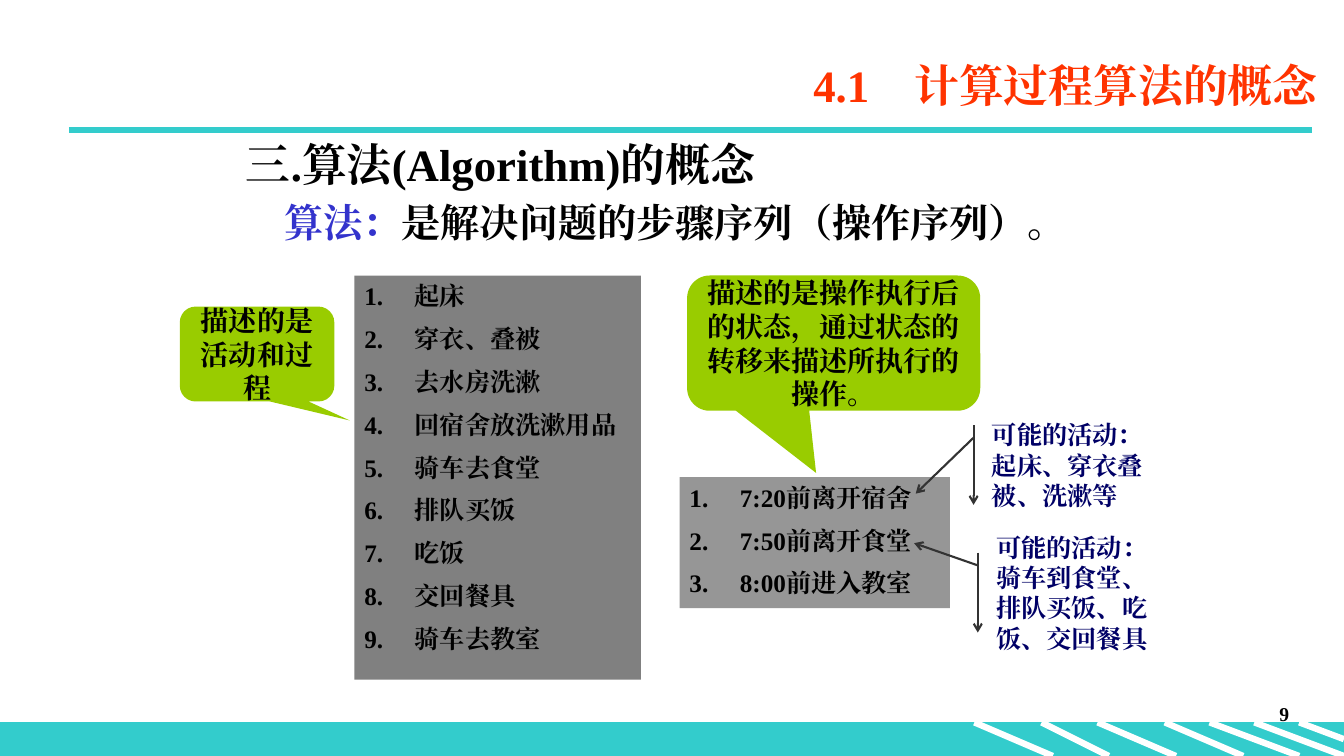
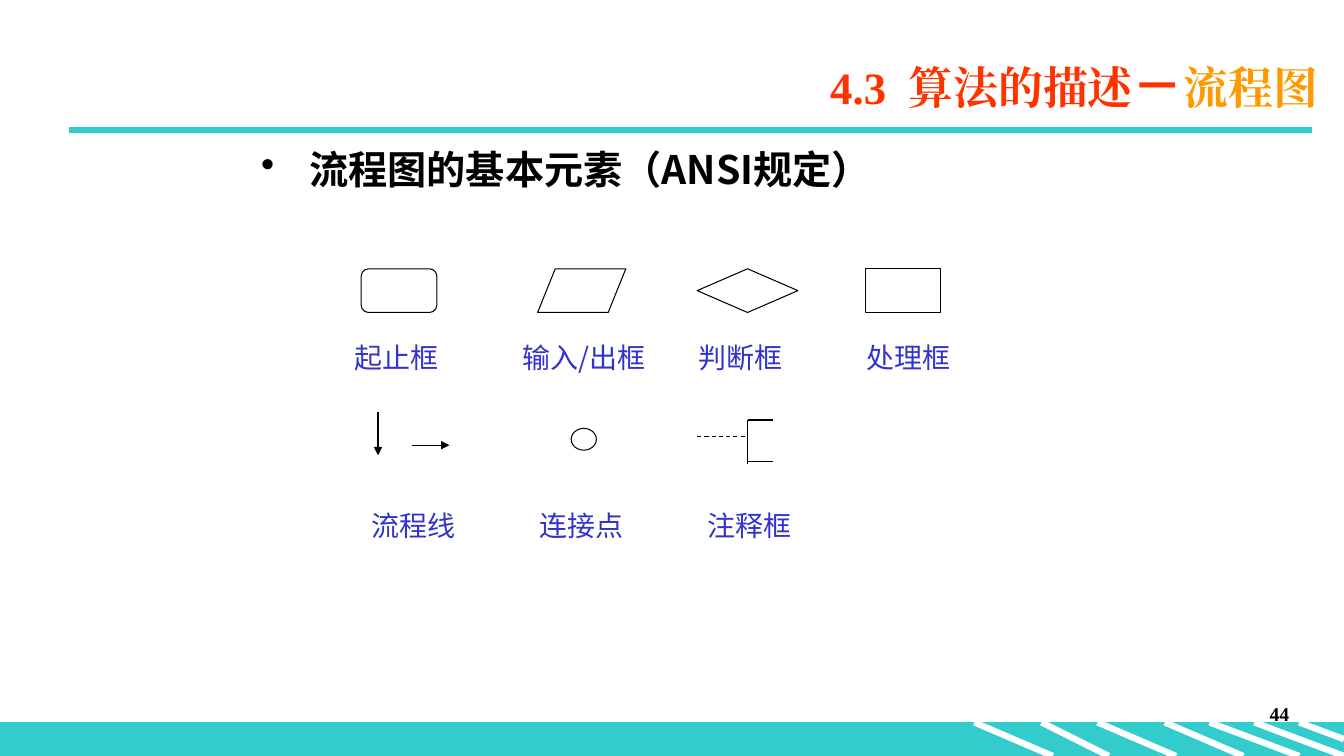
from dataclasses import dataclass
from typing import Optional, Sequence

from lxml import etree
from pptx import Presentation
from pptx import util as u
from pptx.dml.color import RGBColor
from pptx.enum import dml, shapes, text
from pptx.oxml import ns

# Grid: 160 columns by 90 rows, twelve cells to the inch
CELL = u.Inches(1) // 12
COLS, ROWS = 160, 90

# Colours and fonts
TEAL = RGBColor(0x33, 0xCC, 0xCC)
WHITE = RGBColor(0xFF, 0xFF, 0xFF)
BLACK = RGBColor(0, 0, 0)
RED = RGBColor(0xFF, 0x33, 0x00)
AMBER = RGBColor(0xFF, 0x99, 0x00)
BLUE = RGBColor(0x33, 0x33, 0xCC)
NAVY = RGBColor(0x00, 0x00, 0x66)
LIME = RGBColor(0x99, 0xCC, 0x00)
GREY = RGBColor(0x80, 0x80, 0x80)
SILVER = RGBColor(0x96, 0x96, 0x96)
DARK = RGBColor(0x33, 0x33, 0x33)
SERIF, SANS = "Times New Roman", "Noto Sans CJK SC"

KIND = shapes.MSO_SHAPE
LEFT, MID, RIGHT = text.PP_ALIGN.LEFT, text.PP_ALIGN.CENTER, text.PP_ALIGN.RIGHT


@dataclass(frozen=True)
class Run:
    words: str
    size: float
    color: RGBColor = BLACK
    bold: bool = True
    font: str = SERIF
    gap: float = 0  # extra letter spacing in points


@dataclass(frozen=True)
class Para:
    runs: Sequence[Run]
    align: text.PP_ALIGN = LEFT
    before: float = 0
    margin: float = 0  # left margin in inches
    hang: float = 0
    bullet: str = ""  # "1." numbers the paragraph


@dataclass(frozen=True)
class Box:
    col: float
    row: float
    wide: float
    high: float

    def place(self) -> list[int]:
        return [cells(n) for n in (self.col, self.row, self.wide, self.high)]


@dataclass(frozen=True)
class Line:
    col: float
    row: float
    endcol: float
    endrow: float
    arrow: bool = False
    dash: bool = False


@dataclass(frozen=True)
class Form:
    kind: shapes.MSO_SHAPE
    box: Box
    fill: Optional[RGBColor] = None
    line: Optional[RGBColor] = None
    width: float = 0.75
    adjust: Sequence[float] = ()
    arrow: str = ""
    paras: Sequence[Para] = ()
    middle: bool = True


# Shared slide parts
BAND = Form(KIND.RECTANGLE, Box(0, 86, COLS, 4), TEAL, TEAL)
STRIPES = [Line(start, 86, end, row) for start, end, row in (
    (116, 125.33, 90), (124, 132, 90), (130.67, 140, 90), (138.67, 148, 90),
    (144, 154.67, 90), (149.33, 160, 90), (154.67, 160, 88))]
RULE = Line(8.2, 15.5, 156.2, 15.5)
TITLE = Box(22.1, 5.3, 136, 9.5)
PAGE = Box(121.33, 83, 33.33, 6)


def cells(count: float) -> int:
    return round(count * CELL)


def tip(shape, style: str) -> None:
    etree.SubElement(shape.line._get_or_add_ln(), ns.qn("a:tailEnd"), type=style)


def write(frame, paras: Sequence[Para], middle: bool = False) -> None:
    frame.word_wrap = True
    frame.auto_size = text.MSO_AUTO_SIZE.NONE
    frame.vertical_anchor = text.MSO_ANCHOR.MIDDLE if middle else text.MSO_ANCHOR.TOP
    for i, item in enumerate(paras):
        para = frame.add_paragraph() if i else frame.paragraphs[0]
        para.alignment = item.align
        para.space_before = u.Pt(item.before if i else 0)
        props = para._p.get_or_add_pPr()
        props.set("marL", str(u.Inches(item.margin)))
        props.set("indent", str(-u.Inches(item.hang)))
        if item.bullet == "1.":
            etree.SubElement(props, ns.qn("a:buAutoNum"), type="arabicPeriod")
        elif item.bullet:
            etree.SubElement(props, ns.qn("a:buChar"), char=item.bullet)
        for part in item.runs:
            run = para.add_run()
            run.text = part.words
            font = run.font
            font.size, font.bold, font.name = u.Pt(part.size), part.bold, part.font
            font.color.rgb = part.color
            mark = run._r.get_or_add_rPr()
            etree.SubElement(mark, ns.qn("a:ea"), typeface=part.font)
            if part.gap:
                mark.set("spc", str(round(part.gap * 100)))


def label(slide, box: Box, paras: Sequence[Para]) -> None:
    write(slide.shapes.add_textbox(*box.place()).text_frame, paras)


def form(slide, item: Form) -> None:
    shape = slide.shapes.add_shape(item.kind, *item.box.place())
    shape.shadow.inherit = False
    for i, value in enumerate(item.adjust):
        shape.adjustments[i] = value
    if item.fill is None:
        shape.fill.background()
    else:
        shape.fill.solid()
        shape.fill.fore_color.rgb = item.fill
    if item.line is None:
        shape.line.fill.background()
    else:
        shape.line.color.rgb = item.line
        shape.line.width = u.Pt(item.width)
    if item.arrow:
        tip(shape, item.arrow)
    if item.paras:
        write(shape.text_frame, item.paras, item.middle)


def stroke(slide, item: Line, color: RGBColor = BLACK, width: float = 0.75) -> None:
    ends = [cells(n) for n in (item.col, item.row, item.endcol, item.endrow)]
    link = slide.shapes.add_connector(shapes.MSO_CONNECTOR.STRAIGHT, *ends)
    etree.SubElement(link._element.spPr, ns.qn("a:effectLst"))
    link.line.color.rgb = color
    link.line.width = u.Pt(width)
    if item.dash:
        link.line.dash_style = dml.MSO_LINE.DASH
    if item.arrow:
        tip(link, "triangle")


def start(deck, title: Sequence[Run], page: str):
    """Add a slide with its title, bands and page number."""
    slide = deck.slides.add_slide(deck.slide_layouts[5])
    head = slide.shapes.title
    head.left, head.top, head.width, head.height = TITLE.place()
    write(head.text_frame, [Para(title, RIGHT)], middle=True)
    form(slide, BAND)
    for stripe in STRIPES:
        stroke(slide, stripe, WHITE, 4.5)
    stroke(slide, RULE, TEAL, 4.5)
    label(slide, PAGE, [Para([Run(page, 14)], RIGHT)])
    return slide


def steps(box: Box, fill: RGBColor, lines: Sequence[str]) -> Form:
    paras = [Para([Run(line, 18)], before=9, margin=0.5, hang=0.5, bullet="1.")
             for line in lines]
    return Form(KIND.RECTANGLE, box, fill, paras=paras, middle=False)


def bubble(box: Box, point: Sequence[float], words: str) -> Form:
    return Form(KIND.ROUNDED_RECTANGULAR_CALLOUT, box, LIME, adjust=(*point, 0.167),
                paras=[Para([Run(words, 20)], MID)])


def note(box: Box, point: Sequence[float], words: str) -> Form:
    return Form(KIND.LINE_CALLOUT_1_ACCENT_BAR, box, line=DARK, width=1.5,
                adjust=(0.159, -0.043, *point), arrow="arrow",
                paras=[Para([Run(words, 18, NAVY)])])


def concept(deck) -> None:
    slide = start(deck, [Run("4.1", 32, RED), Run(" ", 32, RED, gap=24),
                         Run("计算过程算法的概念", 32, RED)], "9")
    label(slide, Box(28.1, 15.7, 105, 17.5), [
        Para([Run("三.算法(Algorithm)的概念", 32)]),
        Para([Run("算法：", 28, BLUE), Run("是解决问题的步骤序列（操作序列）。", 28)],
             before=5.6, margin=0.38)])
    for item in (
        steps(Box(42.2, 32.8, 34.1, 48.1), GREY,
              ["起床", "穿衣、叠被", "去水房洗漱", "回宿舍放洗漱用品", "骑车去食堂",
               "排队买饭", "吃饭", "交回餐具", "骑车去教室"]),
        bubble(Box(21.4, 36.5, 18.4, 11.3), (0.6, 0.7), "描述的是活动和过程"),
        steps(Box(80.9, 56.8, 32.2, 15.6), SILVER,
              ["7:20前离开宿舍", "7:50前离开食堂", "8:00前进入教室"]),
        bubble(Box(81.8, 32.8, 34.9, 16.1), (-0.06, 0.96),
               "描述的是操作执行后的状态，通过状态的转移来描述所执行的操作。"),
        note(Box(116.9, 50.6, 23.2, 9.5), (0.86, -0.34),
             "可能的活动：起床、穿衣叠被、洗漱等"),
        note(Box(117.4, 65.8, 23.2, 9.5), (-0.12, -0.37),
             "可能的活动：骑车到食堂、排队买饭、吃饭、交回餐具"),
    ):
        form(slide, item)


def chart(deck) -> None:
    slide = start(deck, [Run("4.3", 32, RED), Run(" ", 32, RED, gap=8),
                         Run("算法的描述", 32, RED), Run("－", 36, RED, font=SANS),
                         Run("流程图", 32, AMBER)], "44")
    label(slide, Box(29.9, 16.7, 102, 60.5), [
        Para([Run("流程图的基本元素（ANSI规定）", 28, font=SANS)],
             margin=0.48, hang=0.48, bullet="•")])

    # Flowchart symbols
    for kind, box in (
        (KIND.FLOWCHART_ALTERNATE_PROCESS, Box(43, 32, 9, 5.2)),
        (KIND.FLOWCHART_DATA, Box(64, 32, 10.5, 5.2)),
        (KIND.FLOWCHART_DECISION, Box(83, 32, 12, 5.2)),
        (KIND.FLOWCHART_PROCESS, Box(103, 32, 9, 5.2)),
        (KIND.OVAL, Box(68, 51, 3, 2.6)),
    ):
        form(slide, Form(kind, box, WHITE, BLACK))

    # Flow arrows and the comment bracket
    for line in (
        Line(45, 49, 45, 54.2, arrow=True), Line(49, 53, 53.5, 53, arrow=True),
        Line(89, 50, 89, 55.2), Line(89, 50, 92, 50), Line(89, 55, 92, 55),
        Line(83, 52, 89, 52, dash=True),
    ):
        stroke(slide, line)

    # Symbol names
    for col, row, wide, name in (
        (41, 40, 15, "起止框"), (61, 40, 20, "输入/出框"),
        (82, 40, 14, "判断框"), (102, 40, 13, "处理框"),
        (43, 60, 15, "流程线"), (63, 60, 15, "连接点"), (83, 60, 15, "注释框"),
    ):
        label(slide, Box(col, row, wide, 5.2),
              [Para([Run(name, 20, BLUE, bold=False, font=SANS)])])


def main() -> None:
    deck = Presentation()
    deck.slide_width, deck.slide_height = cells(COLS), cells(ROWS)
    concept(deck)
    chart(deck)
    deck.save("out.pptx")


if __name__ == "__main__":
    main()
